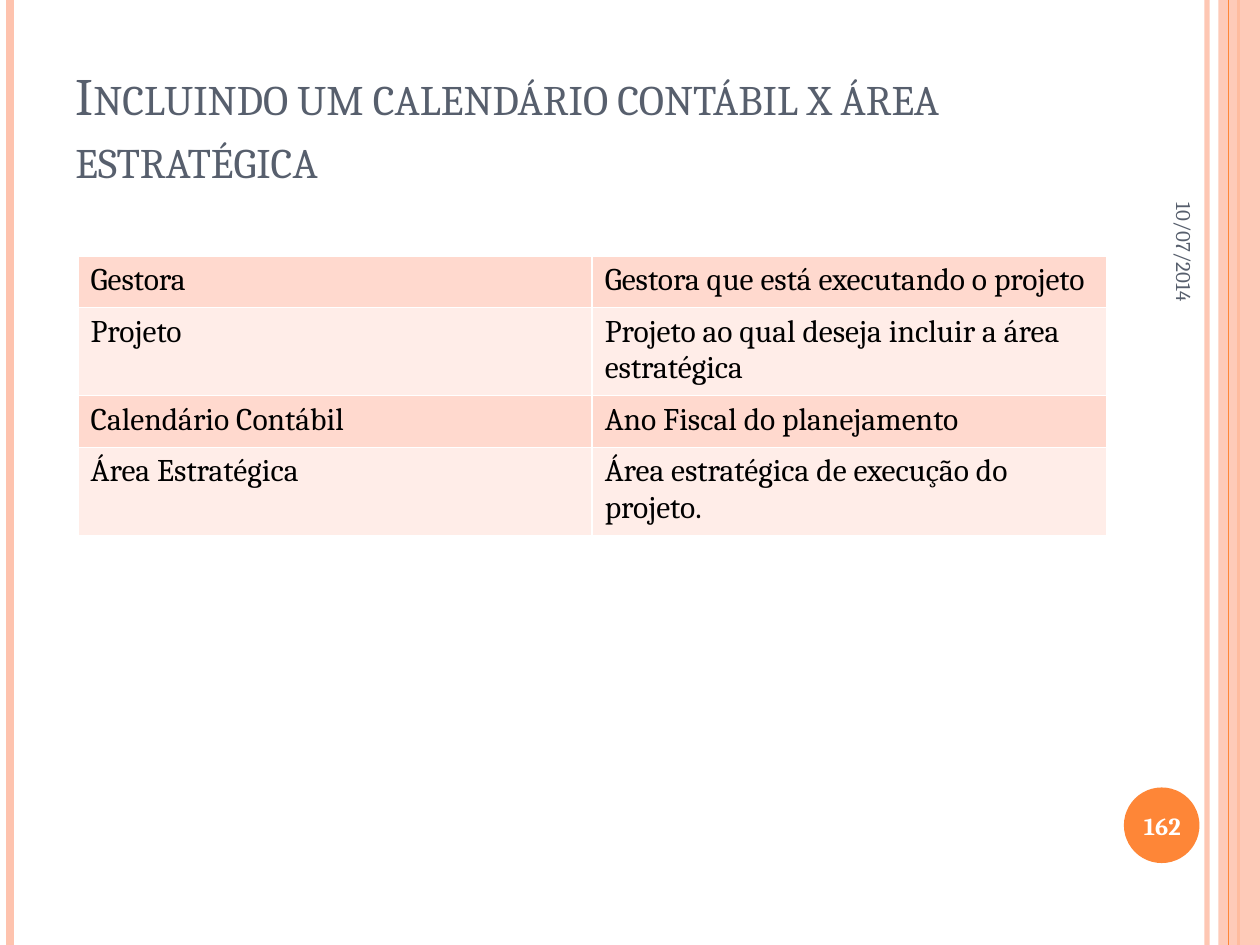
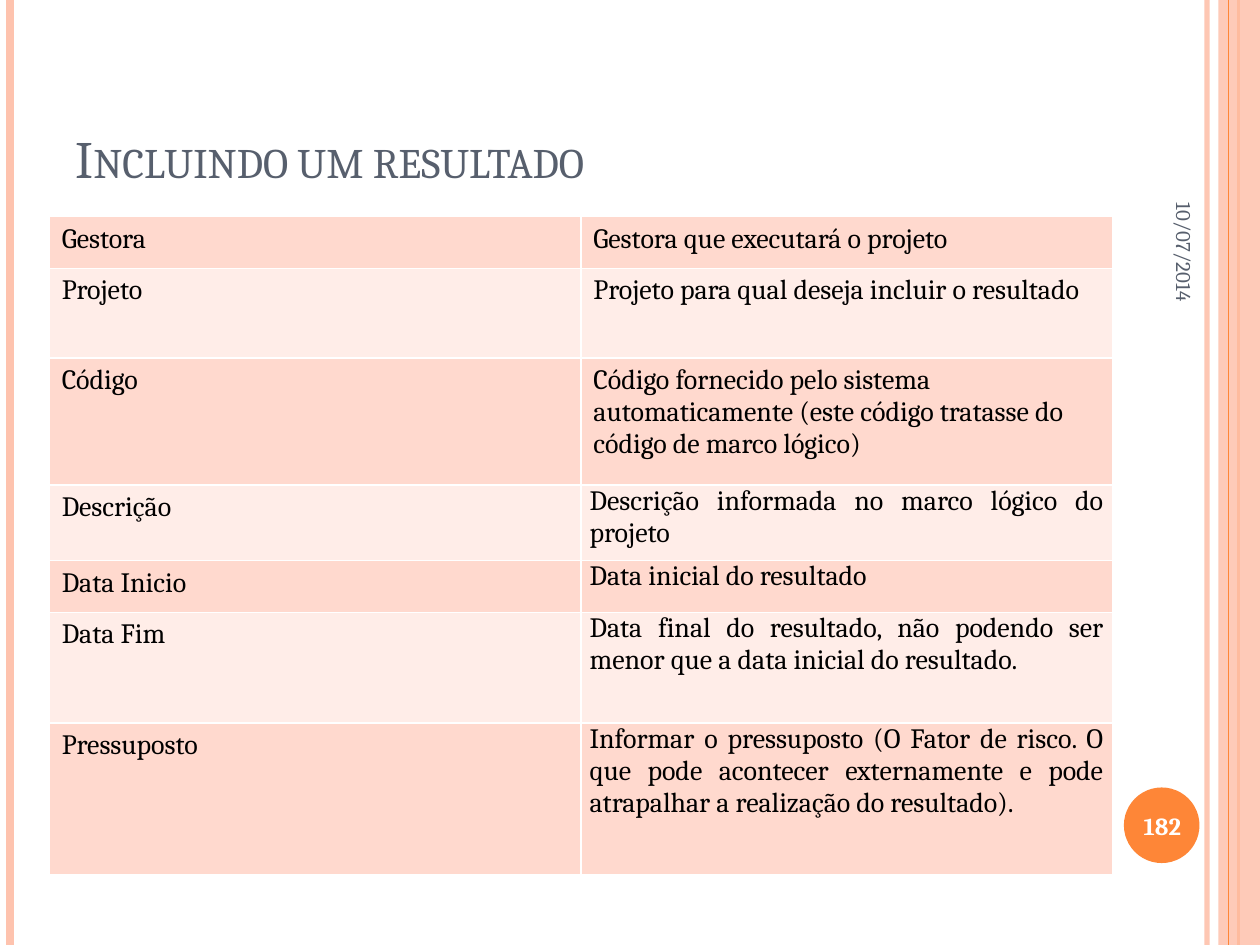
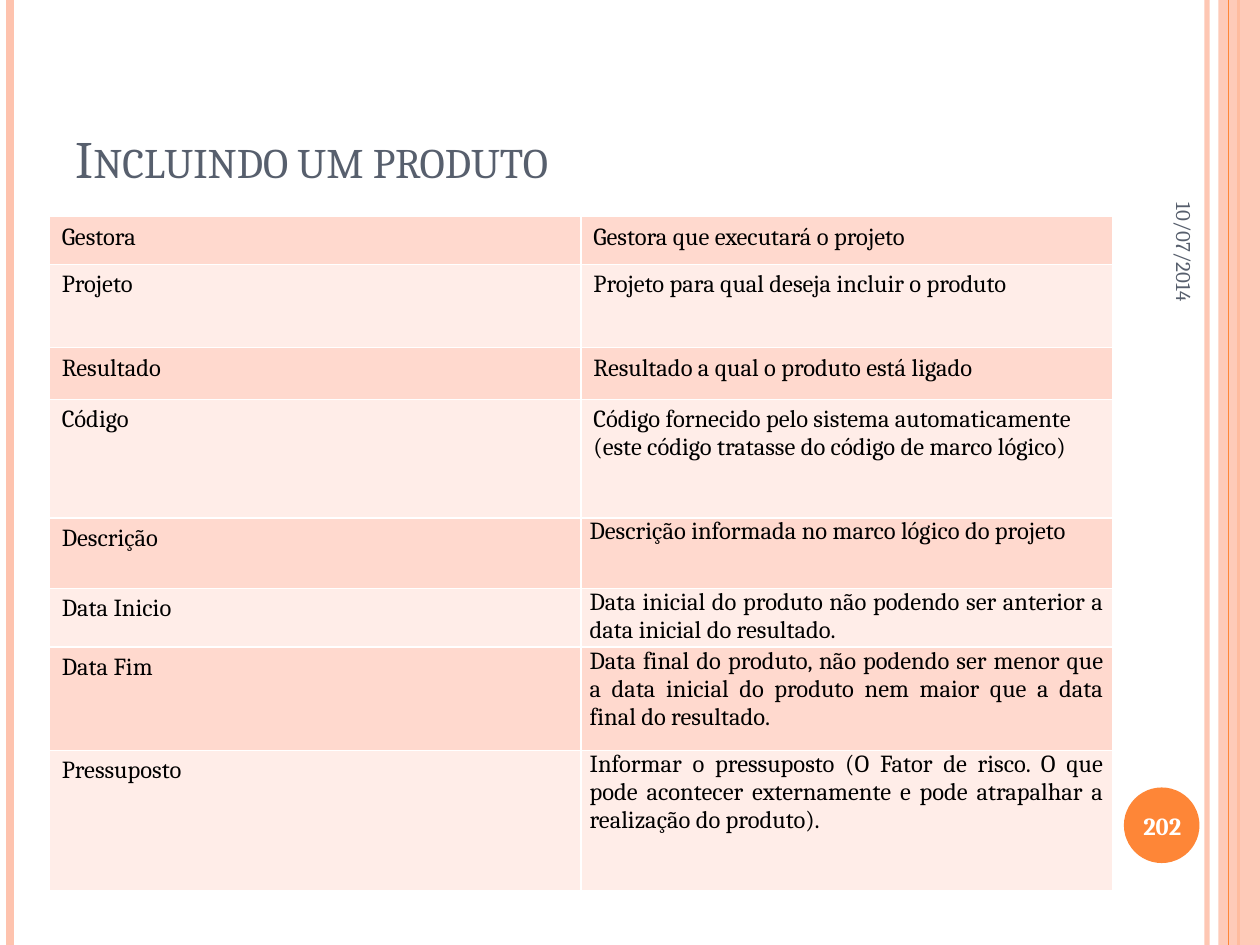
from dataclasses import dataclass

from lxml import etree
from pptx import Presentation
from pptx.dml.color import RGBColor
from pptx.enum.shapes import MSO_CONNECTOR as CONN, MSO_SHAPE as SHAPE
from pptx.enum.text import MSO_ANCHOR as ANCHOR, PP_ALIGN as ALIGN
from pptx.oxml.ns import qn
from pptx.util import Inches, Pt


@dataclass(frozen=True)
class Theme:
    font: str = "Cambria"
    accent: str = "FE8637"
    peach: str = "FEC3AE"
    slate: str = "575F6D"
    white: str = "FFFFFF"
    black: str = "000000"
    bands: tuple = ("FFD9CE", "FFEDE8")
    title_size: int = 30
    date_size: int = 12
    number_size: int = 14


THEME = Theme()
WIDTH, HEIGHT = 10, 7.5
DATE = "10/07/2014"

# Vertical rules: x, colour, width in points, opacity in percent
RULES_BELOW = [(9.58, THEME.peach, 3, 93), (0.08, THEME.peach, 4.5, 100),
               (9.83, THEME.accent, 1.5, 100)]
RULES_ABOVE = [(9.75, THEME.accent, 0.75, 100)]

CODE_TEXT = ("Código fornecido pelo sistema automaticamente "
             "(este código tratasse do código de marco lógico)")
DESCRIPTION_TEXT = "Descrição informada no marco lógico do projeto"
RISK_TEXT = ("Informar o pressuposto (O Fator de risco. O que pode acontecer "
             "externamente e pode atrapalhar a realização do {}).")

# Table rows: height, field, explanation
CALENDAR_ROWS = [
    (0.41, "Gestora", "Gestora que está executando o projeto"),
    (0.41, "Projeto", "Projeto ao qual deseja incluir a área estratégica"),
    (0.41, "Calendário Contábil", "Ano Fiscal do planejamento"),
    (0.41, "Área Estratégica", "Área estratégica de execução do projeto."),
]
RESULT_ROWS = [
    (0.41, "Gestora", "Gestora que executará o projeto"),
    (0.71, "Projeto", "Projeto para qual deseja incluir o resultado"),
    (1.01, "Código", CODE_TEXT),
    (0.6, "Descrição", DESCRIPTION_TEXT),
    (0.41, "Data Inicio", "Data inicial do resultado"),
    (0.88, "Data Fim", "Data final do resultado, não podendo ser menor que "
                       "a data inicial do resultado."),
    (1.2, "Pressuposto", RISK_TEXT.format("resultado")),
]
PRODUCT_ROWS = [
    (0.38, "Gestora", "Gestora que executará o projeto"),
    (0.66, "Projeto", "Projeto para qual deseja incluir o produto"),
    (0.41, "Resultado", "Resultado a qual o produto está ligado"),
    (0.94, "Código", CODE_TEXT),
    (0.56, "Descrição", DESCRIPTION_TEXT),
    (0.43, "Data Inicio", "Data inicial do produto não podendo ser anterior a "
                          "data inicial do resultado."),
    (0.82, "Data Fim", "Data final do produto, não podendo ser menor que a data "
                       "inicial do produto nem maior que a data final do resultado."),
    (1.11, "Pressuposto", RISK_TEXT.format("produto")),
]
JUSTIFIED_FIELDS = {"Descrição", "Data Inicio", "Data Fim", "Pressuposto"}


def rgb(color):
    return RGBColor.from_string(color)


def set_opacity(s, percent):
    for clr in s._element.spPr.iter(qn("a:srgbClr")):
        etree.SubElement(clr, qn("a:alpha"), val=str(percent * 1000))


def add_run(p, text, size, color, bold=False):
    r = p.add_run()
    r.text = text
    r.font.name, r.font.size, r.font.bold = THEME.font, Pt(size), bold
    r.font.color.rgb = rgb(color)
    return r


def add_text(slide, box, text, size, color, anchor=ANCHOR.MIDDLE,
             align=ALIGN.LEFT, bold=False):
    s = slide.shapes.add_textbox(*map(Inches, box))
    tf = s.text_frame
    tf.word_wrap, tf.vertical_anchor = True, anchor
    p = tf.paragraphs[0]
    p.alignment = align
    return s, add_run(p, text, size, color, bold)


def add_rule(slide, x, color, width, opacity):
    s = slide.shapes.add_connector(CONN.STRAIGHT, Inches(x), 0, Inches(x), Inches(HEIGHT))
    s.line.color.rgb, s.line.width = rgb(color), Pt(width)
    if opacity < 100:
        set_opacity(s, opacity)
    etree.SubElement(s._element.spPr, qn("a:effectLst"))


def add_block(slide, kind, box, color):
    s = slide.shapes.add_shape(kind, *map(Inches, box))
    s.shadow.inherit = False
    s.fill.solid()
    s.fill.fore_color.rgb = rgb(color)
    s.line.fill.background()
    return s


def add_frame(slide, title, number):
    # Side bands and number disc
    for rule in RULES_BELOW:
        add_rule(slide, *rule)
    band = add_block(slide, SHAPE.RECTANGLE, (9.67, 0, 0.33, HEIGHT), THEME.peach)
    set_opacity(band, 87)
    for rule in RULES_ABOVE:
        add_rule(slide, *rule)
    add_block(slide, SHAPE.OVAL, (8.92, 6.25, 0.6, 0.6), THEME.accent)

    # Title, date and slide number
    _, r = add_text(slide, (0.5, 0.3, 8.17, 1.25), title, THEME.title_size,
                    THEME.slate, ANCHOR.BOTTOM)
    r.font._element.set("cap", "small")
    date, _ = add_text(slide, (8.3, 1.18, 2.2, 0.42), DATE, THEME.date_size,
                       THEME.slate, align=ALIGN.RIGHT)
    date.rotation = 90
    add_text(slide, (8.89, 6.27, 0.67, 0.57), str(number), THEME.number_size,
             THEME.white, align=ALIGN.CENTER, bold=True)


def set_borders(cell):
    tcPr = cell._tc.get_or_add_tcPr()
    for i, side in enumerate(("a:lnL", "a:lnR", "a:lnT", "a:lnB")):
        ln = etree.Element(qn(side), w=str(Pt(1)))
        fill = etree.SubElement(ln, qn("a:solidFill"))
        etree.SubElement(fill, qn("a:srgbClr"), val=THEME.white)
        tcPr.insert(i, ln)


def fill_cell(cell, text, size, color, justified):
    cell.fill.solid()
    cell.fill.fore_color.rgb = rgb(color)
    set_borders(cell)
    p = cell.text_frame.paragraphs[0]
    if justified:
        cell.margin_left = cell.margin_right = Inches(0.07)
        cell.margin_top = cell.margin_bottom = 0
        p.alignment = ALIGN.JUSTIFY
    add_run(p, text, size, THEME.black)


def add_field_table(slide, left, top, col_width, rows, size):
    height = sum(row[0] for row in rows)
    table = slide.shapes.add_table(len(rows), 2, Inches(left), Inches(top),
                                   Inches(2 * col_width), Inches(height)).table
    table.first_row = table.horz_banding = False
    for col in table.columns:
        col.width = Inches(col_width)
    for i, (row_height, field, explanation) in enumerate(rows):
        table.rows[i].height = Inches(row_height)
        color = THEME.bands[i % 2]
        fill_cell(table.cell(i, 0), field, size, color, False)
        fill_cell(table.cell(i, 1), explanation, size, color, field in JUSTIFIED_FIELDS)


def main():
    prs = Presentation()
    prs.slide_width, prs.slide_height = Inches(WIDTH), Inches(HEIGHT)

    # Title, number, table left, top, column width, rows, text size
    pages = [
        ("Incluindo um calendário contábil x área estratégica", 162,
         0.62, 2.03, 4.08, CALENDAR_ROWS, 18),
        ("Incluindo um resultado", 182, 0.39, 1.72, 4.22, RESULT_ROWS, 16),
        ("Incluindo um produto", 202, 0.39, 1.72, 4.22, PRODUCT_ROWS, 14),
    ]
    for title, number, *table in pages:
        slide = prs.slides.add_slide(prs.slide_layouts[6])
        add_frame(slide, title, number)
        add_field_table(slide, *table)

    prs.save("out.pptx")


if __name__ == "__main__":
    main()
